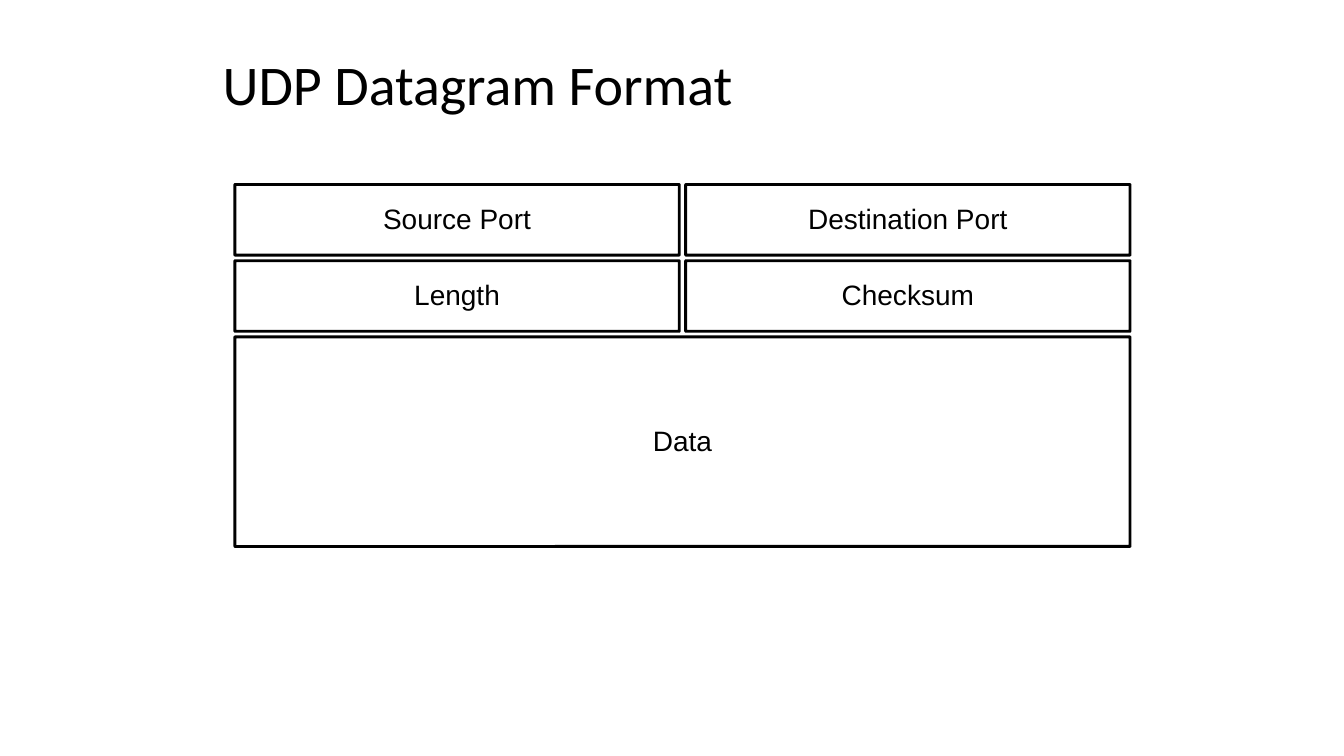
"""Build a slide that shows the fields of a UDP datagram."""
from pptx import Presentation
from pptx.dml.color import RGBColor
from pptx.enum.shapes import MSO_SHAPE
from pptx.enum.text import MSO_ANCHOR, MSO_AUTO_SIZE, PP_ALIGN
from pptx.util import Cm, Pt


def color(hex_value):
    return RGBColor.from_string(hex_value)


def write(frame, text, font_name, size, alignment):
    frame.text = text
    frame.vertical_anchor = MSO_ANCHOR.MIDDLE
    paragraph = frame.paragraphs[0]
    paragraph.alignment = alignment
    paragraph.line_spacing = 0.96
    paragraph.font.name = font_name
    paragraph.font.size = Pt(size)
    paragraph.font.color.rgb = color("000000")


presentation = Presentation()
presentation.slide_width = Cm(33.87)
presentation.slide_height = Cm(19.05)
slide = presentation.slides.add_slide(presentation.slide_layouts[5])

title = slide.shapes.title
title.left, title.top, title.width, title.height = Cm(5.46), Cm(0.58), Cm(23.04), Cm(3.18)
write(title.text_frame, "UDP Datagram Format", "Calibri", 40, PP_ALIGN.LEFT)
title.text_frame.auto_size = MSO_AUTO_SIZE.NONE
title.text_frame.margin_left = Cm(0.15)

left, top = 5.92, 4.65
field_width, field_height = 11.2, 1.78
column_step, row_step = 11.36, 1.92
data_height = 5.28

header_rows = [["Source Port", "Destination Port"], ["Length", "Checksum"]]
fields = [
    (name, left + column * column_step, top + row * row_step, field_width, field_height)
    for row, names in enumerate(header_rows)
    for column, name in enumerate(names)
]
data_top = top + len(header_rows) * row_step
fields.append(("Data", left, data_top, column_step + field_width, data_height))

for name, x, y, width, height in fields:
    field = slide.shapes.add_shape(
        MSO_SHAPE.ROUNDED_RECTANGLE, Cm(x), Cm(y), Cm(width), Cm(height)
    )
    field.adjustments[0] = 0.004 if height == field_height else 0.001
    field.shadow.inherit = False
    field.fill.solid()
    field.fill.fore_color.rgb = color("FFFFFF")
    field.line.color.rgb = color("000000")
    field.line.width = Pt(2)
    write(field.text_frame, name, "Arial", 20, PP_ALIGN.CENTER)

presentation.save("out.pptx")
